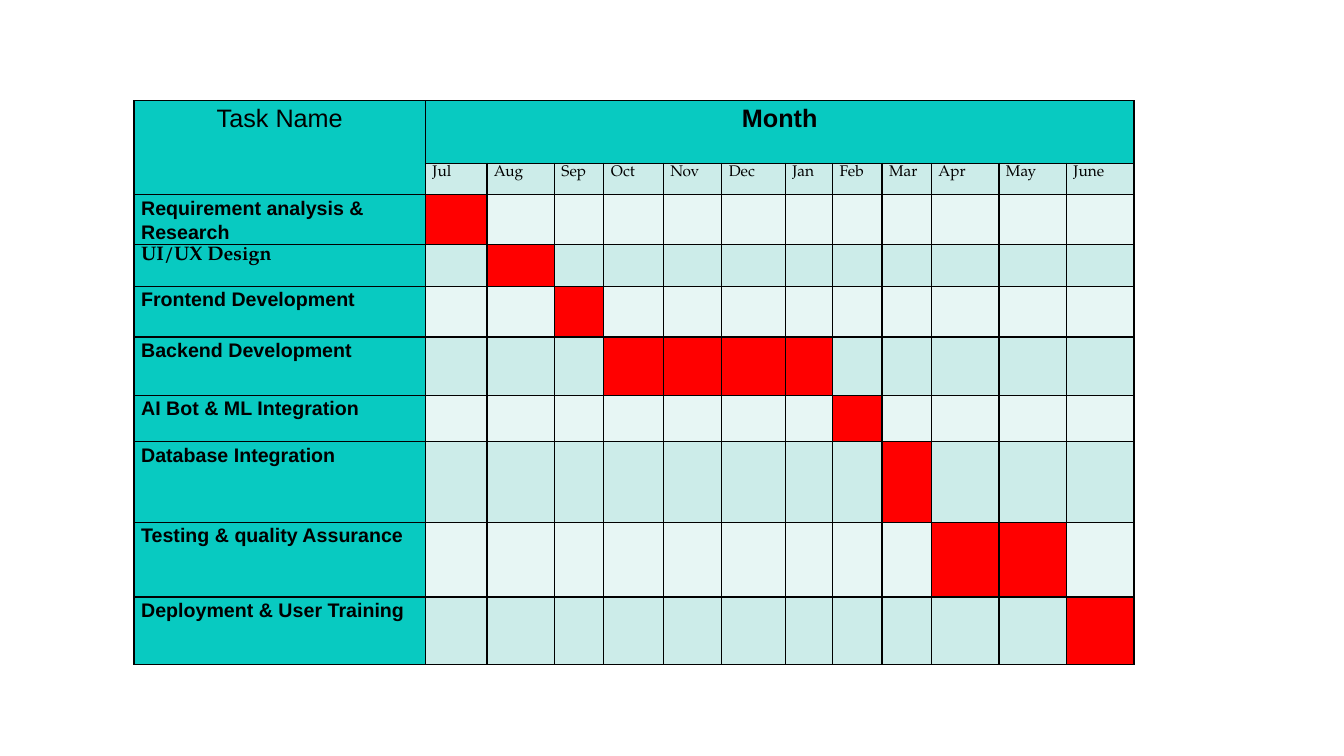
from dataclasses import dataclass

from lxml.etree import SubElement
from pptx import Presentation
from pptx.dml.color import RGBColor
from pptx.enum.text import PP_ALIGN
from pptx.oxml.ns import qn
from pptx.table import Table, _Cell
from pptx.util import Inches, Pt

COLORS = {
    "teal": "08CAC1",
    "pale": "E7F6F4",
    "mint": "CCECE9",
    "red": "FF0000",
    "black": "000000",
}
SANS, SERIF = "Arial", "TeX Gyre Pagella"
MONTHS = "Jul Aug Sep Oct Nov Dec Jan Feb Mar Apr May June".split()
WIDTHS = [2.89, 0.61, 0.67, 0.49, 0.59, 0.58, 0.63, 0.47, 0.49, 0.49, 0.67, 0.67, 0.67]
HEADS = [0.62, 0.21]

TITLE = {"size": Pt(18), "name": SANS, "bold": False}
GROUP = {**TITLE, "bold": True}
MONTH = {"size": Pt(11), "name": SERIF, "bold": False}
LABEL = {"size": Pt(14), "name": SANS, "bold": True}
SPACING = {"line_spacing": 1.12, "space_after": Pt(0.5)}
INSETS = {
    "margin_left": Inches(0.07),
    "margin_right": Inches(0.07),
    "margin_top": 0,
    "margin_bottom": 0,
}


@dataclass
class Task:
    """A task that runs from the first to the last month column."""
    name: str
    first: int
    last: int
    height: float
    font: str = SANS


TASKS = [
    Task("Requirement analysis & Research", 1, 1, 0.46),
    Task("UI/UX Design", 2, 2, 0.42, SERIF),
    Task("Frontend Development", 3, 3, 0.5),
    Task("Backend Development", 4, 7, 0.58),
    Task("AI Bot & ML Integration", 8, 8, 0.46),
    Task("Database Integration", 9, 9, 0.8),
    Task("Testing & quality Assurance", 10, 11, 0.74),
    Task("Deployment & User Training", 12, 12, 0.67),
]


def apply(target: object, values: dict) -> None:
    for key, value in values.items():
        setattr(target, key, value)


def border(cell: _Cell) -> None:
    props = cell._tc.get_or_add_tcPr()
    for side in ("lnL", "lnR", "lnT", "lnB"):
        line = SubElement(props, qn(f"a:{side}"), w=str(Pt(1)))
        fill = SubElement(line, qn("a:solidFill"))
        SubElement(fill, qn("a:srgbClr"), val=COLORS["black"])


def style(cell: _Cell, color: str) -> None:
    border(cell)
    cell.fill.solid()
    cell.fill.fore_color.rgb = RGBColor.from_string(COLORS[color])
    apply(cell, INSETS)
    apply(cell.text_frame.paragraphs[0], SPACING)


def write(cell: _Cell, text: str, font: dict, align: PP_ALIGN = PP_ALIGN.LEFT) -> None:
    para = cell.text_frame.paragraphs[0]
    para.alignment = align
    run = para.add_run()
    run.text = text
    apply(run.font, font)
    run.font.color.rgb = RGBColor.from_string(COLORS["black"])


def shade(row: int, col: int) -> str:
    """Pick the colour of a cell from its place in the plan."""
    if row == 0 or col == 0:
        return "teal"
    if row > 1:
        task = TASKS[row - 2]
        if task.first <= col <= task.last:
            return "red"
    return "mint" if row % 2 else "pale"


def fill_in(table: Table) -> None:
    for row in range(len(table.rows)):
        for col in range(len(WIDTHS)):
            style(table.cell(row, col), shade(row, col))
    table.cell(0, 0).merge(table.cell(1, 0))
    table.cell(0, 1).merge(table.cell(0, len(MONTHS)))
    write(table.cell(0, 0), "Task Name", TITLE, PP_ALIGN.CENTER)
    write(table.cell(0, 1), "Month", GROUP, PP_ALIGN.CENTER)
    for col, month in enumerate(MONTHS, 1):
        write(table.cell(1, col), month, MONTH)
    for row, task in enumerate(TASKS, 2):
        write(table.cell(row, 0), task.name, {**LABEL, "name": task.font})


def main() -> None:
    deck = Presentation()
    deck.slide_width, deck.slide_height = Inches(13.33), Inches(7.5)
    slide = deck.slides.add_slide(deck.slide_layouts[6])
    heights = HEADS + [task.height for task in TASKS]
    frame = slide.shapes.add_table(
        len(heights), len(WIDTHS), Inches(1.33), Inches(1),
        Inches(sum(WIDTHS)), Inches(sum(heights)),
    )
    table = frame.table
    apply(table, {"first_row": False, "horz_banding": False})
    for column, width in zip(table.columns, WIDTHS):
        column.width = Inches(width)
    for row, height in zip(table.rows, heights):
        row.height = Inches(height)
    fill_in(table)
    deck.save("out.pptx")


if __name__ == "__main__":
    main()
